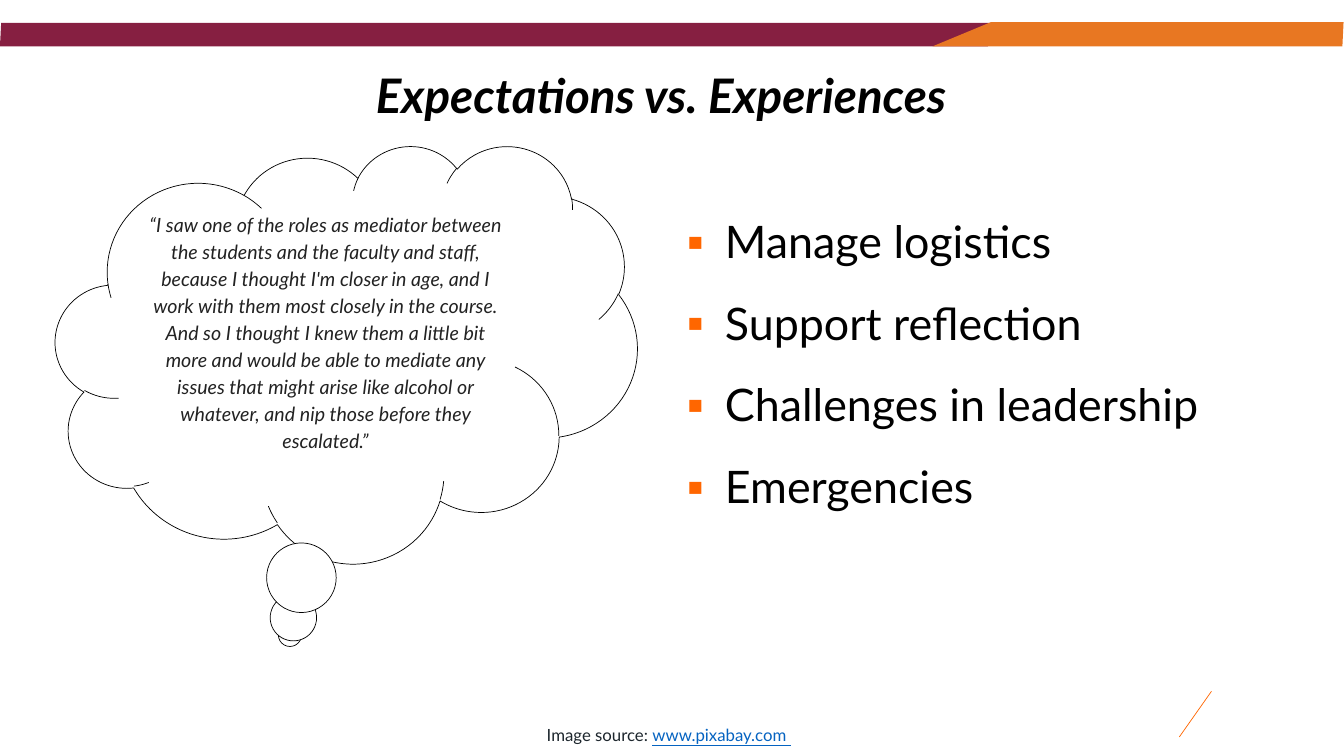
"""Build the slide on expectations versus experiences."""
from lxml import etree
from pptx import Presentation
from pptx.dml.color import RGBColor
from pptx.enum.shapes import MSO_CONNECTOR, MSO_SHAPE
from pptx.enum.text import MSO_ANCHOR, PP_ALIGN
from pptx.oxml.ns import qn
from pptx.util import Cm, Pt

MAROON = RGBColor(0x86, 0x1F, 0x41)
ORANGE = RGBColor(0xE8, 0x77, 0x22)
BRIGHT = RGBColor(0xFF, 0x66, 0x00)
BLACK = RGBColor(0x00, 0x00, 0x00)
WHITE = RGBColor(0xFF, 0xFF, 0xFF)
INK = RGBColor(0x22, 0x22, 0x22)
SLATE = RGBColor(0x1D, 0x26, 0x2D)
BLUE = RGBColor(0x05, 0x63, 0xC1)
CENTER, LEFT = PP_ALIGN.CENTER, PP_ALIGN.LEFT
TOP, MIDDLE = MSO_ANCHOR.TOP, MSO_ANCHOR.MIDDLE
CLOUD, STRAIGHT = MSO_SHAPE.CLOUD_CALLOUT, MSO_CONNECTOR.STRAIGHT

QUOTE = (
    "“I saw one of the roles as mediator between the students and the "
    "faculty and staff, because I thought I'm closer in age, and I work with "
    "them most closely in the course. And so I thought I knew them a little "
    "bit more and would be able to mediate any issues that might arise like "
    "alcohol or whatever, and nip those before they escalated.”"
)
TOPICS = ["Manage logistics", "Support reflection",
          "Challenges in leadership", "Emergencies"]


def set_frame(shape, anchor, left, top, right, bottom):
    frame = shape.text_frame
    values = {
        "word_wrap": True, "vertical_anchor": anchor,
        "margin_left": Cm(left), "margin_top": Cm(top),
        "margin_right": Cm(right), "margin_bottom": Cm(bottom),
    }
    for name, value in values.items():
        setattr(frame, name, value)
    return frame


def add_run(para, text, color, **values):
    run = para.add_run()
    run.text = text
    run.font.name = "Lato"
    run.font.color.rgb = color
    for name, value in values.items():
        setattr(run.font, name, value)


deck = Presentation()
deck.slide_width, deck.slide_height = Cm(33.87), Cm(19.05)
slide = deck.slides.add_slide(deck.slide_layouts[6])
shapes = slide.shapes

slash = shapes.add_connector(STRAIGHT, Cm(30.53), Cm(17.42), Cm(29.72), Cm(18.57))
slash.line.color.rgb = BRIGHT
slash.line.width = Pt(0.5)
etree.SubElement(slash._element.spPr, qn("a:effectLst"))

bands = [
    (MAROON, [(0.03, 0.58), (25.63, 0.58), (24.89, 1.17), (0, 1.17)]),
    (ORANGE, [(33.83, 1.17), (23.5, 1.17), (24.97, 0.56), (33.86, 0.56)]),
]
for color, points in bands:
    spots = [(Cm(x), Cm(y)) for x, y in points]
    path = shapes.build_freeform(*spots[0])
    path.add_line_segments(spots[1:], close=True)
    band = path.convert_to_shape()
    band.shadow.inherit = False
    band.fill.solid()
    band.fill.fore_color.rgb = color
    band.line.fill.background()

title = shapes.add_textbox(Cm(0), Cm(1.3), Cm(31.55), Cm(2.36))
para = set_frame(title, MIDDLE, 3.3, 0.76, 1.52, 0.76).paragraphs[0]
para.alignment = CENTER
para.line_spacing = 0.9
add_run(para, "Expectations vs. Experiences", BLACK,
        size=Pt(34), bold=True, italic=True)

credit = shapes.add_textbox(Cm(10.95), Cm(18.01), Cm(11.81), Cm(0.76))
para = set_frame(credit, TOP, 0.25, 0.25, 0.25, 0.25).paragraphs[0]
para.alignment = CENTER
add_run(para, "Image source: ", SLATE, size=Pt(12))
add_run(para, "www.pixabay.com ", BLUE, size=Pt(12), underline=True)

cloud = shapes.add_shape(CLOUD, Cm(1.4), Cm(3.66), Cm(14.66), Cm(10.52))
cloud.adjustments[0], cloud.adjustments[1] = -0.097, 0.673
cloud.shadow.inherit = False
cloud.fill.solid()
cloud.fill.fore_color.rgb = WHITE
cloud.line.color.rgb = BLACK
cloud.line.width = Pt(0.5)
para = set_frame(cloud, MIDDLE, 0.25, 0.13, 0.25, 0.81).paragraphs[0]
para.alignment = CENTER
para.line_spacing = 1.15
add_run(para, QUOTE, INK, size=Pt(14), italic=True)

topics = shapes.add_textbox(Cm(16.54), Cm(4.5), Cm(16.89), Cm(12.47))
topics.fill.solid()
topics.fill.fore_color.rgb = WHITE
frame = set_frame(topics, TOP, 0.76, 0.76, 0.25, 0.13)
for i, topic in enumerate(TOPICS):
    para = frame.add_paragraph() if i else frame.paragraphs[0]
    para.alignment = LEFT
    para.line_spacing = 1.1
    para.space_before = Pt(10 if i else 0)
    para.space_after = Pt(6)
    props = para._p.get_or_add_pPr()
    props.set("marL", str(Cm(0.97)))
    props.set("indent", str(-Cm(0.97)))
    tint = etree.SubElement(props, qn("a:buClr"))
    etree.SubElement(tint, qn("a:srgbClr"), val=str(BRIGHT))
    etree.SubElement(props, qn("a:buFont"), typeface="Lato")
    etree.SubElement(props, qn("a:buChar"), char="▪")
    add_run(para, topic, BLACK, size=Pt(32))

deck.save("out.pptx")
